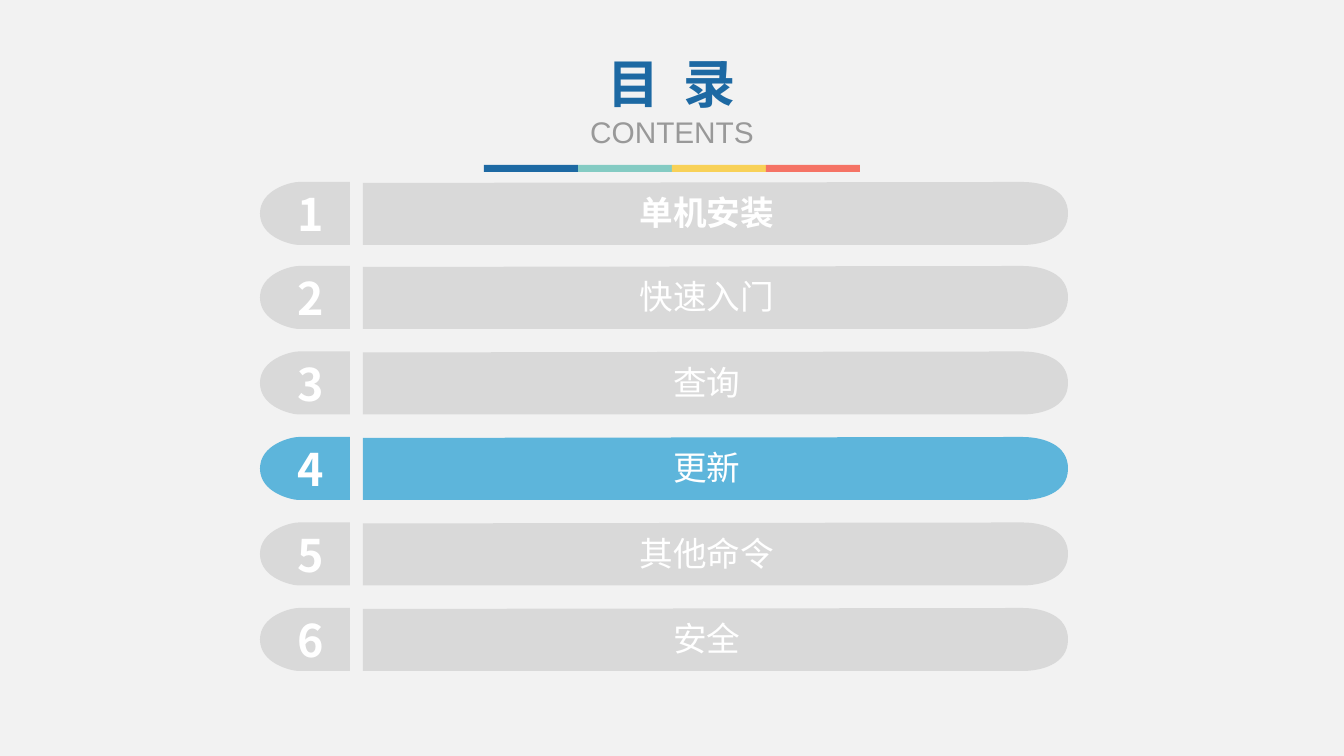
from dataclasses import dataclass

from lxml import etree
from pptx import Presentation
from pptx.dml.color import RGBColor
from pptx.enum.shapes import MSO_SHAPE
from pptx.enum.text import MSO_ANCHOR, MSO_AUTO_SIZE, PP_ALIGN
from pptx.oxml.ns import qn
from pptx.util import Pt

RECTANGLE = MSO_SHAPE.RECTANGLE
TOP = MSO_ANCHOR.TOP
NO_AUTOFIT = MSO_AUTO_SIZE.NONE
CENTER = PP_ALIGN.CENTER

PX = 914400 / 100.8
TITLE_ONLY = 5
CHAPTERS = ["单机安装", "快速入门", "查询", "更新", "其他命令", "安全"]
CURRENT_CHAPTER = 4
BOLD_CHAPTER = 1


@dataclass(frozen=True)
class Theme:
    """Colours, fonts and type sizes of the deck."""
    background: str = "F2F2F2"
    heading: str = "1D69A3"
    subtitle: str = "999999"
    stripe: tuple = ("1D69A3", "84CBC3", "F8D158", "F57365")
    idle: str = "D9D9D9"
    active: str = "5DB5DB"
    on_bar: str = "FFFFFF"
    chinese: str = "Noto Sans CJK SC"
    heading_font: str = "Arial Narrow"
    subtitle_font: str = "Arial"
    heading_size: float = 37.3
    subtitle_size: float = 21.3
    number_size: float = 32
    label_size: float = 24


THEME = Theme()


def emu(pixels):
    """Turn pixels into EMU."""
    return round(pixels * PX)


def paint(shape, color):
    """Give a shape a flat fill with no outline or shadow."""
    shape.shadow.inherit = False
    shape.fill.solid()
    shape.fill.fore_color.rgb = RGBColor.from_string(color)
    shape.line.fill.background()


def write(paragraph, text, font, size, color, bold=False):
    """Fill a centred paragraph with one formatted run."""
    paragraph.alignment = CENTER
    run = paragraph.add_run()
    run.text = text
    for name, value in {"name": font, "size": Pt(size), "bold": bold}.items():
        setattr(run.font, name, value)
    run.font.color.rgb = RGBColor.from_string(color)
    east_asian = etree.SubElement(run.font._element, qn("a:ea"))
    east_asian.set("typeface", THEME.chinese)


def set_frame(frame, wrap=True):
    """Anchor a text frame at the top and keep its size fixed."""
    frame_format = {"word_wrap": wrap, "auto_size": NO_AUTOFIT,
                    "vertical_anchor": TOP}
    for name, value in frame_format.items():
        setattr(frame, name, value)


def add_caption(shapes, box, text, size, bold, wrap=True):
    """Add white text for a chapter bar in the given box."""
    frame = shapes.add_textbox(*map(emu, box)).text_frame
    set_frame(frame, wrap)
    write(frame.paragraphs[0], text, THEME.chinese, size, THEME.on_bar, bold)


def add_outline(shapes, left, top, start, segments, color):
    """Draw a closed outline; one-point segments are lines, three-point ones curves."""
    def place(point):
        return emu(left + point[0]), emu(top + point[1])

    builder = shapes.build_freeform(*place(start))
    builder.add_line_segments([place(p) for segment in segments for p in segment],
                              close=True)
    outline = builder.convert_to_shape()
    steps = iter(list(outline._element.iter(qn("a:lnTo"))))
    for segment in segments:
        parts = [next(steps) for _ in segment]
        if len(parts) == 3:
            cubic = etree.Element(qn("a:cubicBezTo"))
            parts[0].addprevious(cubic)
            for part in parts:
                cubic.append(part[0])
                part.getparent().remove(part)
    paint(outline, color)


def tab_outline(width, height):
    """Start and segments of the number tab, rounded on its left."""
    shoulder, middle = 39, height / 2
    return (width, 0), [
        [(width, height)],
        [(shoulder, height)],
        [(32, height), (0, height - 7), (0, middle)],
        [(0, 8), (30, 0), (shoulder, 0)],
    ]


def bar_outline(width, height):
    """Start and segments of the label bar, rounded on its right."""
    shoulder, middle = width - 46, height / 2
    return (0, 1), [
        [(0, height)],
        [(shoulder, height)],
        [(width - 28, height), (width, height - 6), (width, middle)],
        [(width, 8), (width - 24, 0), (shoulder, 0)],
    ]


def add_heading(slide, box):
    """Put the heading and its subtitle in the title placeholder."""
    heading = slide.shapes.title
    for name, pixels in zip(("left", "top", "width", "height"), box):
        setattr(heading, name, emu(pixels))
    frame = heading.text_frame
    set_frame(frame)
    write(frame.paragraphs[0], "目  录", THEME.heading_font,
          THEME.heading_size, THEME.heading, True)
    write(frame.add_paragraph(), "CONTENTS", THEME.subtitle_font,
          THEME.subtitle_size, THEME.subtitle)


def add_stripe(slide, box):
    """Divide the box into equal coloured segments."""
    left, top, width, height = box
    segments = slide.shapes.add_group_shape().shapes
    segment_width = width / len(THEME.stripe)
    for index, color in enumerate(THEME.stripe):
        place = (left + index * segment_width, top, segment_width, height)
        paint(segments.add_shape(RECTANGLE, *map(emu, place)), color)


def add_chapter(slide, box, number, label):
    """Draw one chapter row: number tab, label bar and their text."""
    left, top, width, height = box
    tab_width, gap = 90, 13
    bar_left = left + tab_width + gap
    bar_width = width - tab_width - gap
    color = THEME.active if number == CURRENT_CHAPTER else THEME.idle
    parts = slide.shapes.add_group_shape().shapes
    add_outline(parts, bar_left, top, *bar_outline(bar_width, height), color)
    add_outline(parts, left, top, *tab_outline(tab_width, height), color)
    add_caption(parts, (left + 27, top, 48, height + 2), str(number),
                THEME.number_size, True, wrap=False)
    add_caption(parts, (bar_left + 4, top + 5, bar_width - 25, 50), label,
                THEME.label_size, number == BOLD_CHAPTER)


def add_chapters(slide, box):
    """Stack the chapter rows in the box; the first gap is slightly tighter."""
    left, top, width, height = box
    row_height, first_pitch = 63, 84
    pitch = (height - row_height - first_pitch) / (len(CHAPTERS) - 2)
    for index, label in enumerate(CHAPTERS):
        offset = first_pitch + (index - 1) * pitch if index else 0
        row = (left, top + offset, width, row_height)
        add_chapter(slide, row, index + 1, label)


def build_contents(deck):
    """Build the contents slide."""
    slide = deck.slides.add_slide(deck.slide_layouts[TITLE_ONLY])
    slide.background.fill.solid()
    slide.background.fill.fore_color.rgb = RGBColor.from_string(THEME.background)
    add_stripe(slide, (484, 165, 376, 7))
    add_heading(slide, (563, 46, 218, 110))
    add_chapters(slide, (260, 182, 808, 489))


deck = Presentation()
deck.slide_width, deck.slide_height = emu(1344), emu(756)
build_contents(deck)
deck.save("out.pptx")
